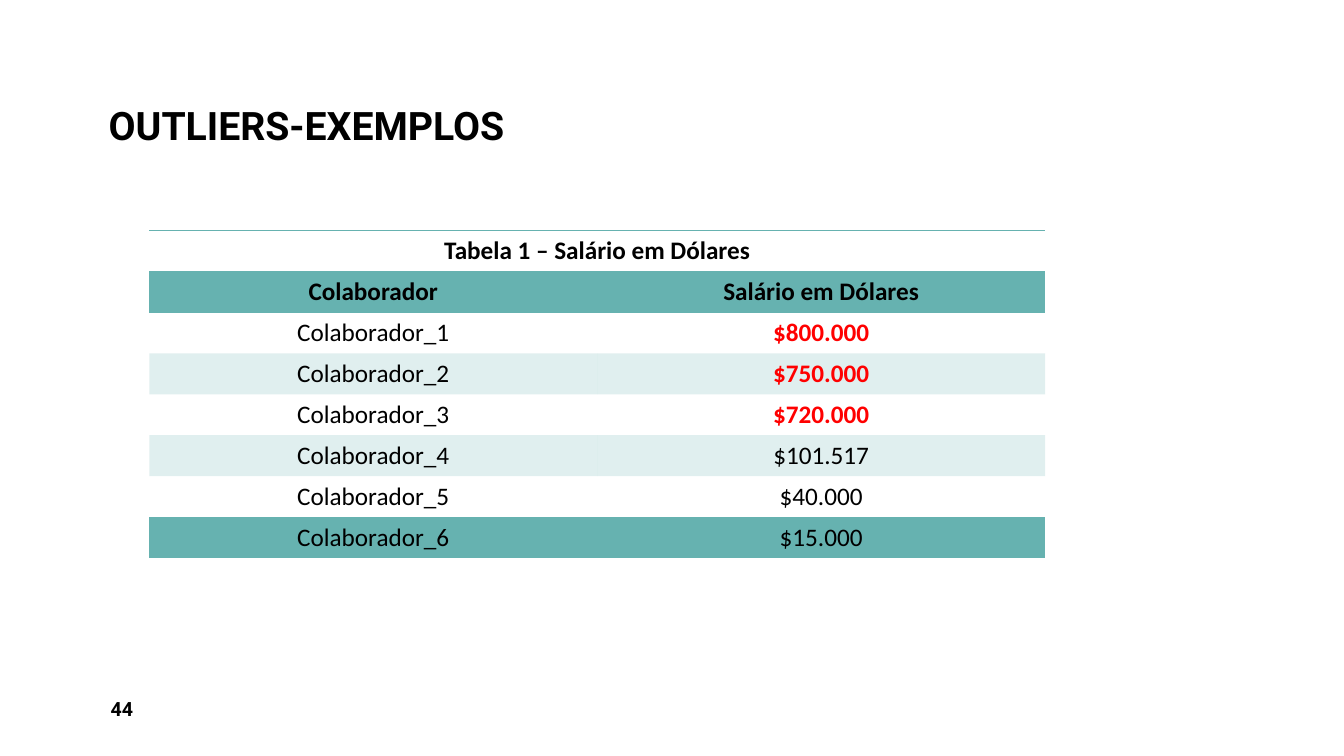
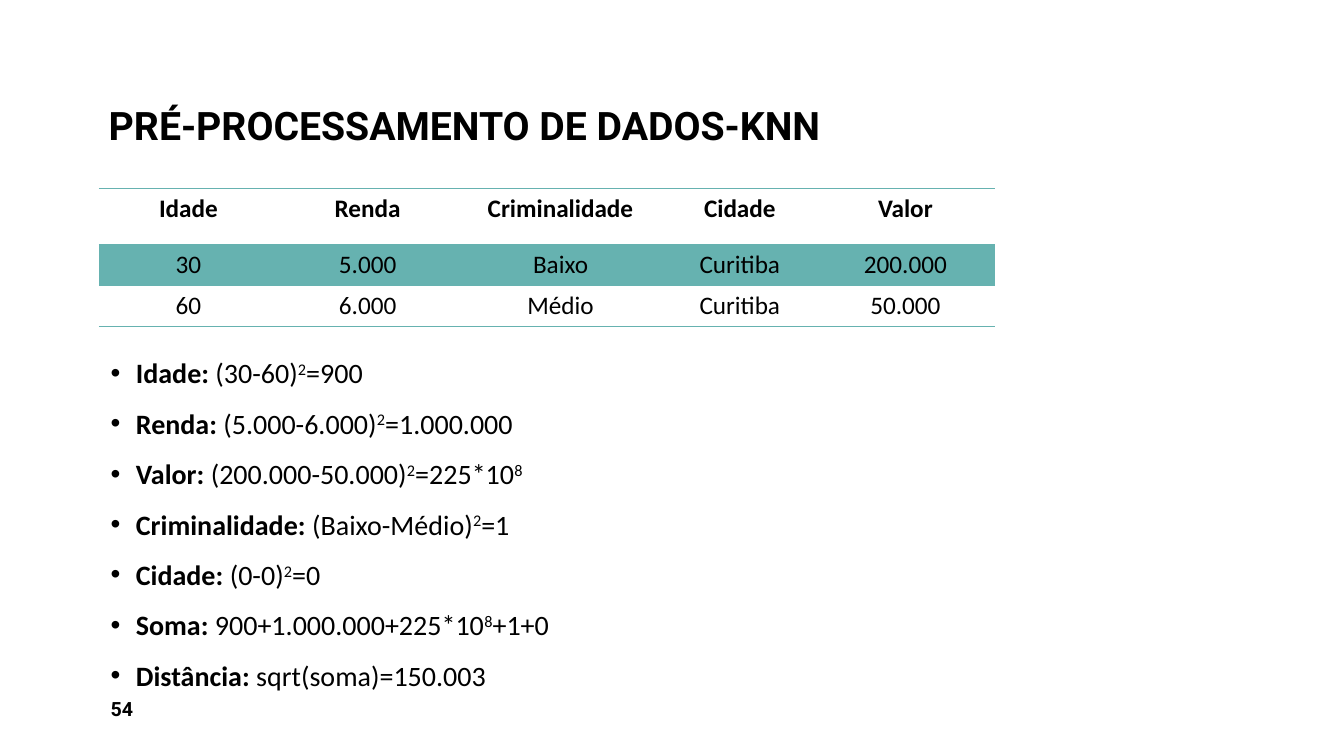
from lxml import etree
from pptx import Presentation
from pptx import util as u
from pptx.dml.color import RGBColor
from pptx.enum import text
from pptx.oxml import ns

Pt = u.Pt
COLORS = {"ink": "000000", "teal": "66B2B0", "outlier": "FF0000"}
TITLE = {"name": "Roboto", "size": Pt(28), "bold": True}
NUMBER = {"name": "Roboto", "size": Pt(14), "bold": True}
CELL = {"name": "Calibri", "size": Pt(18)}
BODY = {"name": "Calibri", "size": Pt(20)}
ROW_HEIGHT = 29.2

SALARIES = {
    "at": (106.6, 164.9), "columns": (320, 320), "header_height": ROW_HEIGHT,
    "header_rows": 2, "merge_first": True,
    "outliers": {"$800.000", "$750.000", "$720.000"},
    "rows": [
        ("Tabela 1 – Salário em Dólares", ""),
        ("Colaborador", "Salário em Dólares"),
        ("Colaborador_1", "$800.000"),
        ("Colaborador_2", "$750.000"),
        ("Colaborador_3", "$720.000"),
        ("Colaborador_4", "$101.517"),
        ("Colaborador_5", "$40.000"),
        ("Colaborador_6", "$15.000"),
    ],
}
HOUSES = {
    "at": (70.6, 134.6), "columns": (128, 128, 147.6, 108.6, 128),
    "header_height": 40.3, "header_rows": 1, "merge_first": False, "outliers": set(),
    "rows": [
        ("Idade", "Renda", "Criminalidade", "Cidade", "Valor"),
        ("30", "5.000", "Baixo", "Curitiba", "200.000"),
        ("60", "6.000", "Médio", "Curitiba", "50.000"),
    ],
}
# A caret raises the one character after it.
DISTANCES = [
    ("Idade:", "(30-60)^2=900"),
    ("Renda:", "(5.000-6.000)^2=1.000.000"),
    ("Valor:", "(200.000-50.000)^2=225*10^8"),
    ("Criminalidade:", "(Baixo-Médio)^2=1"),
    ("Cidade:", "(0-0)^2=0"),
    ("Soma:", "900+1.000.000+225*10^8+1+0"),
    ("Distância:", "sqrt(soma)=150.003"),
]
SLIDES = [
    ("OUTLIERS-EXEMPLOS", "44", SALARIES, []),
    ("PRÉ-PROCESSAMENTO DE DADOS-KNN", "54", HOUSES, DISTANCES),
]


def add_span(para, words, style, color="ink", **extra):
    span = para.add_run()
    span.text = words
    for key, value in {**style, **extra}.items():
        setattr(span.font, key, value)
    span.font.color.rgb = RGBColor.from_string(COLORS[color])
    return span


def add_box(page, left, top, width, height, anchor):
    frame = page.shapes.add_textbox(Pt(left), Pt(top), Pt(width), Pt(height)).text_frame
    frame.word_wrap = True
    frame.vertical_anchor = anchor
    return frame


def add_frame(page, title, number):
    """Add the title and the page number that every slide has."""
    para = add_box(page, 70.6, 5.8, 653, 104.4, text.MSO_ANCHOR.BOTTOM).paragraphs[0]
    para.line_spacing = 0.9
    add_span(para, title, TITLE)
    para = add_box(page, 72, 491.8, 210, 28.8, text.MSO_ANCHOR.MIDDLE).paragraphs[0]
    add_span(para, number, NUMBER)


def set_borders(cell, ruled):
    """Draw the ruled sides in teal and leave the others without a line."""
    props = cell._tc.get_or_add_tcPr()
    for side in ("lnL", "lnR", "lnT", "lnB"):
        line = etree.SubElement(props, ns.qn(f"a:{side}"), w=str(Pt(1)))
        if side in ruled:
            fill = etree.SubElement(line, ns.qn("a:solidFill"))
            etree.SubElement(fill, ns.qn("a:srgbClr"), val=COLORS["teal"])
        else:
            etree.SubElement(line, ns.qn("a:noFill"))


def set_band(cell, banded):
    if not banded:
        cell.fill.background()
        return
    cell.fill.solid()
    cell.fill.fore_color.rgb = RGBColor.from_string(COLORS["teal"])
    tint = cell._tc.tcPr.find(".//" + ns.qn("a:srgbClr"))
    etree.SubElement(tint, ns.qn("a:alpha"), val="20000")


def add_data_table(page, data):
    rows, columns = data["rows"], data["columns"]
    heights = [data["header_height"]] + [ROW_HEIGHT] * (len(rows) - 1)
    left, top = data["at"]
    table = page.shapes.add_table(len(rows), len(columns), Pt(left), Pt(top),
                                  Pt(sum(columns)), Pt(sum(heights))).table
    table.first_row = table.horz_banding = False
    for column, width in zip(table.columns, columns):
        column.width = Pt(width)
    for row, height in zip(table.rows, heights):
        row.height = Pt(height)
    if data["merge_first"]:
        table.cell(0, 0).merge(table.cell(0, len(columns) - 1))

    for r, values in enumerate(rows):
        ruled = {"lnT"} if r <= 1 else set()
        if r in (0, len(rows) - 1):
            ruled.add("lnB")
        for c, value in enumerate(values):
            cell = table.cell(r, c)
            set_borders(cell, ruled)
            set_band(cell, r % 2 == 1)
            if not value:
                continue
            outlier = value in data["outliers"]
            para = cell.text_frame.paragraphs[0]
            para.alignment = text.PP_ALIGN.CENTER
            add_span(para, value, CELL, "outlier" if outlier else "ink",
                     bold=outlier or r < data["header_rows"])


def add_formula(para, formula):
    first, *rest = formula.split("^")
    add_span(para, first, BODY, bold=False)
    for part in rest:
        power = add_span(para, part[0], BODY, bold=False)
        power.font._element.set("baseline", "30000")
        if part[1:]:
            add_span(para, part[1:], BODY, bold=False)


def add_distances(page, distances):
    frame = add_box(page, 72, 250.6, 665, 275, text.MSO_ANCHOR.TOP)
    for i, (label, formula) in enumerate(distances):
        para = frame.add_paragraph() if i else frame.paragraphs[0]
        para.line_spacing, para.space_after = Pt(24), Pt(12)
        props = para._p.get_or_add_pPr()
        props.set("marL", str(Pt(18)))
        props.set("indent", str(Pt(-18)))
        etree.SubElement(props, ns.qn("a:buFont"), typeface="Arial")
        etree.SubElement(props, ns.qn("a:buChar"), char="•")
        add_span(para, label, BODY, bold=True)
        add_formula(para, " " + formula)


def main():
    deck = Presentation()
    deck.slide_width, deck.slide_height = Pt(960), Pt(540)
    for title, number, data, distances in SLIDES:
        page = deck.slides.add_slide(deck.slide_layouts[6])
        add_frame(page, title, number)
        add_data_table(page, data)
        if distances:
            add_distances(page, distances)
    deck.save("out.pptx")


if __name__ == "__main__":
    main()
